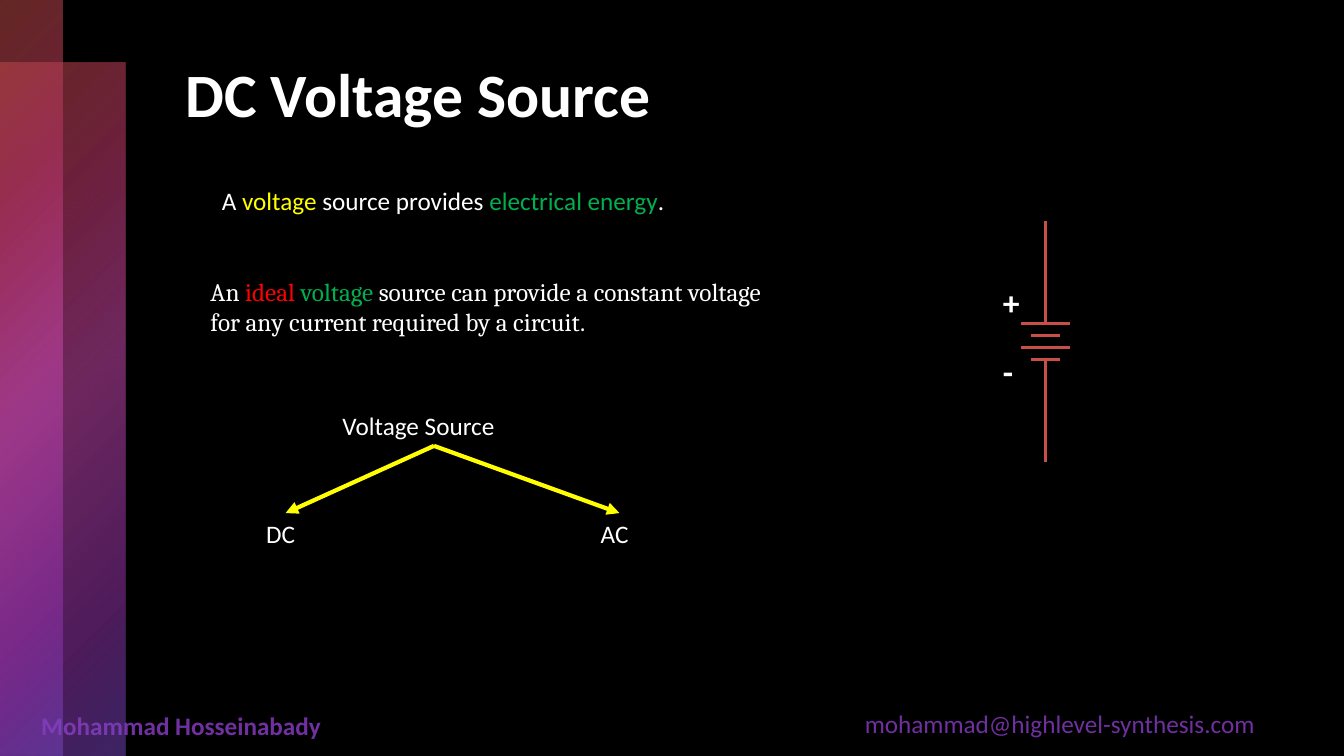
from pptx import Presentation
from pptx import oxml
from pptx import util as u
from pptx.dml import color
from pptx.enum import shapes, text
from pptx.oxml import ns

WHITE, YELLOW, GREEN, RED = "FFFFFF", "FFFF00", "00B050", "FF0000"
PURPLE, CORAL = "7030A0", "C84E48"
BAND_STOPS = [(0, CORAL, 50), (25, "B63665", 60), (50, "C848AC", 55),
              (81, "9C36B6", 50), (99, "7948C8", 50)]


def rgb(value):
    """Return the colour for a hex string."""
    return color.RGBColor.from_string(value)


def format_font(font, size, name, value, bold=False):
    """Apply size, typeface, colour and weight to a font."""
    font.size, font.name, font.bold = u.Pt(size), name, bold
    font.color.rgb = rgb(value)


def add_text(slide, box, lines, size=18, name="Calibri", bold=False, wrap=False):
    """Place lines of (words, colour) runs in a text box."""
    shape = slide.shapes.add_textbox(*map(u.Pt, box))
    frame = shape.text_frame
    frame.word_wrap = wrap
    frame.auto_size = text.MSO_AUTO_SIZE.SHAPE_TO_FIT_TEXT
    for index, line in enumerate(lines):
        paragraph = frame.add_paragraph() if index else frame.paragraphs[0]
        for words, value in line:
            run = paragraph.add_run()
            run.text = words
            format_font(run.font, size, name, value, bold)
    return shape


def add_line(slide, start, end, value, width):
    """Draw a straight line without a shadow."""
    line = slide.shapes.add_connector(
        shapes.MSO_CONNECTOR.STRAIGHT, *map(u.Pt, (*start, *end)))
    line.line.color.rgb = rgb(value)
    line.line.width = u.Pt(width)
    line._element.spPr.append(oxml.parse_xml(f"<a:effectLst {ns.nsdecls('a')}/>"))
    return line


def add_band(slide, box):
    """Draw a translucent band with a gradient radiating from its top left."""
    band = slide.shapes.add_shape(shapes.MSO_SHAPE.RECTANGLE, *map(u.Pt, box))
    band.shadow.inherit = False
    band.line.fill.background()
    band.fill.background()
    stops = "".join(
        f'<a:gs pos="{position * 1000}"><a:srgbClr val="{value}">'
        f'<a:alpha val="{alpha * 1000}"/></a:srgbClr></a:gs>'
        for position, value, alpha in BAND_STOPS)
    gradient = oxml.parse_xml(
        f'<a:gradFill {ns.nsdecls("a")} rotWithShape="1"><a:gsLst>{stops}</a:gsLst>'
        '<a:path path="circle"><a:fillToRect r="100000" b="100000"/></a:path></a:gradFill>')
    properties = band._element.spPr
    properties.replace(properties.find(ns.qn("a:noFill")), gradient)


def add_frame(slide, box):
    """Place the footer texts and the side bands on the page."""
    left, top, width, height = box
    add_text(slide, (left + 610.6, top + height - 37.4, 331, 29),
             [[("mohammad@highlevel-synthesis.com", PURPLE)]], wrap=True)
    add_text(slide, (left + 22.3, top + height - 36, 331, 29),
             [[("Mohammad Hosseinabady", PURPLE)]], bold=True, wrap=True)
    add_band(slide, (left, top + 45, 90, height - 45))
    add_band(slide, (left, top, 45, height))


def add_title(slide, box):
    """Fill and place the title placeholder."""
    title = slide.shapes.title
    title.left, title.top, title.width, title.height = map(u.Pt, box)
    frame = title.text_frame
    frame.text = "DC Voltage Source"
    frame.vertical_anchor = text.MSO_ANCHOR.TOP
    paragraph = frame.paragraphs[0]
    paragraph.alignment = text.PP_ALIGN.LEFT
    format_font(paragraph.runs[0].font, 44, "Calibri", WHITE, True)


def add_statements(slide, box):
    """Place the two statements about voltage sources."""
    left, top, width, height = box
    add_text(slide, (left + 8, top, 384, 29),
             [[("A ", WHITE), ("voltage", YELLOW), (" source provides ", WHITE),
               ("electrical energy", GREEN), (".", WHITE)]])
    add_text(slide, (left, top + height - 51, width, 51),
             [[("An ", WHITE), ("ideal", RED), (" voltage ", GREEN),
               ("source can provide a constant voltage", WHITE)],
              [("for any current required by a circuit.", WHITE)]],
             name="Cambria", wrap=True)


def add_battery(slide, box):
    """Draw the battery symbol with its plates, leads and signs."""
    left, top, width, height = box
    center, plate_gap, plate_count = left + width - 17.5, 8.5, 4
    first = top + (height - plate_gap * (plate_count - 1)) / 2
    last = first + plate_gap * (plate_count - 1)
    add_line(slide, (center, top), (center, first), CORAL, 2.25)
    for index in range(plate_count):
        half = 10.5 if index % 2 else 17.5
        y = first + index * plate_gap
        add_line(slide, (center - half, y), (center + half, y), CORAL, 2.25)
    add_line(slide, (center, last), (center, top + height), CORAL, 2.25)
    for sign, offset, sign_width in (("+", 40, 29.5), ("-", 89, 23)):
        add_text(slide, (left, top + offset, sign_width, 36), [[(sign, WHITE)]],
                 size=24, bold=True)


def add_tree(slide, box):
    """Draw the tree that splits voltage sources into DC and AC."""
    left, top, width, height = box
    root = add_text(slide, (left + 54.5, top, 145, 29), [[("Voltage Source", WHITE)]])
    for label, x, label_width in (("DC", left, 42), ("AC", left + width - 41, 41)):
        y = top + height - 29
        leaf = add_text(slide, (x, y, label_width, 29), [[(label, WHITE)]])
        arrow = add_line(slide, (left + 127, top + 29), (x + label_width / 2, y), YELLOW, 3)
        arrow.begin_connect(root, 2)
        arrow.end_connect(leaf, 0)
        arrow.line._get_or_add_ln().append(
            oxml.parse_xml(f'<a:tailEnd {ns.nsdecls("a")} type="triangle"/>'))


def main():
    """Build and save the slide."""
    presentation = Presentation()
    presentation.slide_width, presentation.slide_height = u.Pt(960), u.Pt(540)
    slide = presentation.slides.add_slide(presentation.slide_layouts[5])
    slide.background.fill.solid()
    slide.background.fill.fore_color.rgb = rgb("000000")
    add_frame(slide, (0, 0, 960, 540))
    add_title(slide, (125.3, 36, 746.6, 122.4))
    add_statements(slide, (143.3, 129, 484, 115.7))
    add_battery(slide, (709.2, 158, 55, 172))
    add_tree(slide, (183, 289.5, 280, 106))
    presentation.save("out.pptx")


if __name__ == "__main__":
    main()
